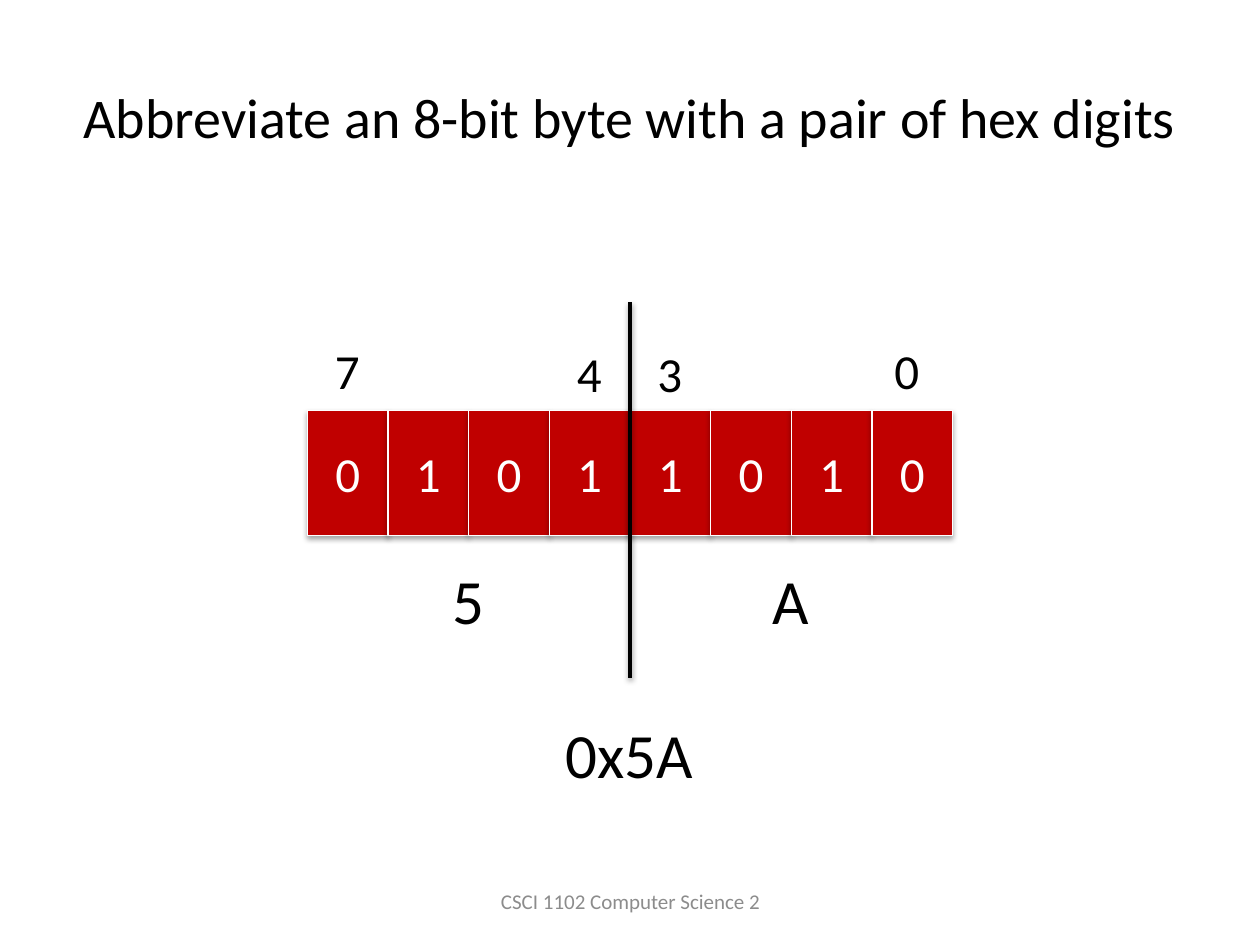
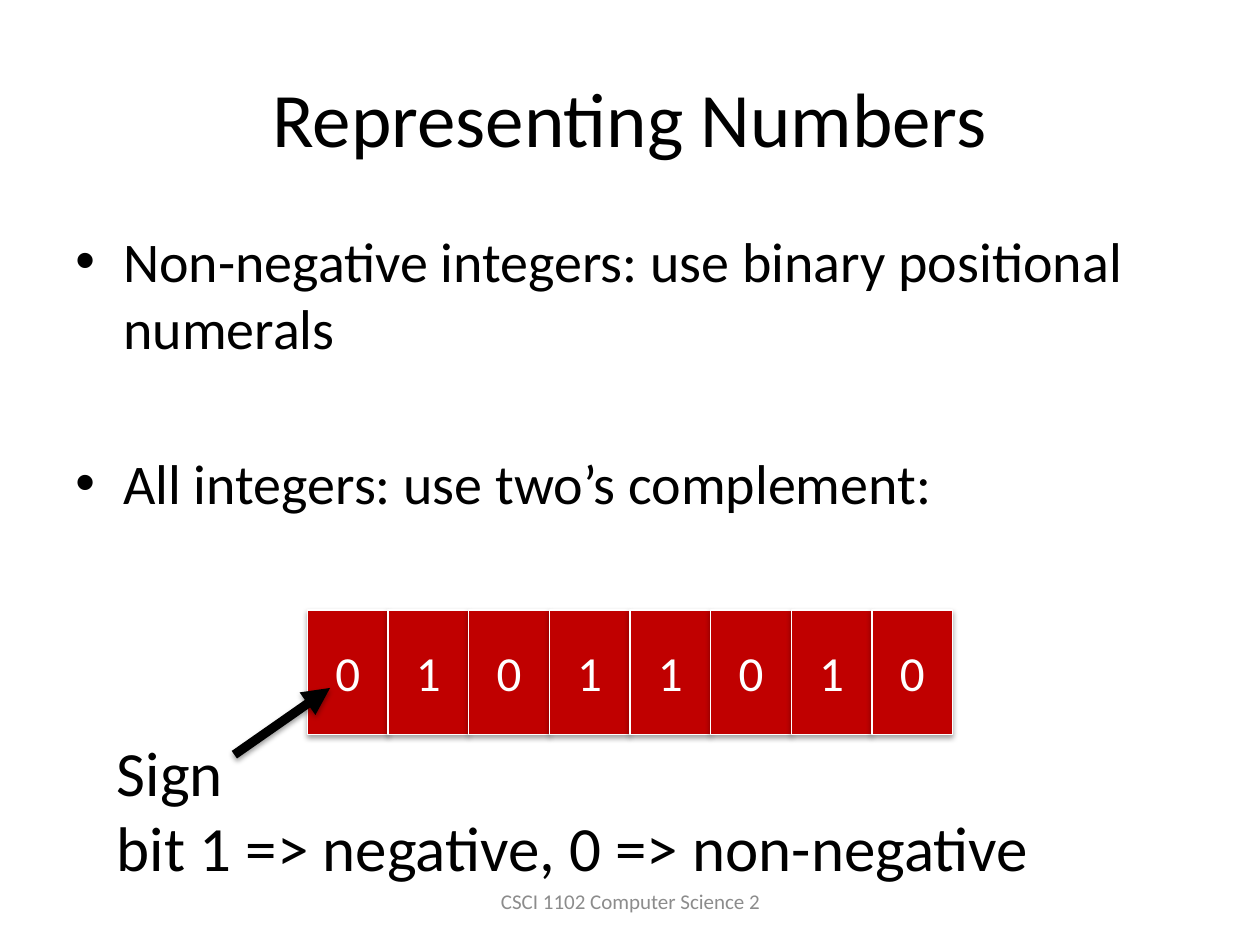
from dataclasses import dataclass

from lxml.etree import SubElement as Sub
from pptx import Presentation
from pptx.dml.color import RGBColor as RGB
from pptx.enum.shapes import MSO_CONNECTOR as Link, MSO_SHAPE as Form
from pptx.enum.text import MSO_ANCHOR as Anchor, MSO_AUTO_SIZE as Fit, PP_ALIGN as Align
from pptx.oxml.ns import qn
from pptx.util import Inches, Pt


@dataclass(frozen=True)
class Theme:
    font: str = "Calibri"
    ink: str = "000000"
    pale: str = "FFFFFF"
    gray: str = "8C8C8C"
    red: str = "C00000"
    title: int = 44
    body: int = 32
    bit: int = 28
    hex: int = 36
    foot: int = 12


THEME = Theme()
BITS = "01011010"
LEFT, WIDE, HIGH = 2.44, 0.64, 0.99
FOOTER = "CSCI 1102 Computer Science 2"


def apply(item, **form):
    for name, value in form.items():
        setattr(item, name, value)


def box(left, top, width, height):
    return [Inches(n) for n in (left, top, width, height)]


def write(frame, lines, size, color=THEME.ink, align=Align.LEFT, **form):
    """Fill a text frame with one paragraph for each line."""
    apply(frame, **form)
    for i, line in enumerate(lines):
        para = frame.add_paragraph() if i else frame.paragraphs[0]
        para.alignment = align
        run = para.add_run()
        run.text = line
        apply(run.font, name=THEME.font, size=Pt(size))
        run.font.color.rgb = RGB.from_string(color)
    return frame.paragraphs


def shade(shape, alpha, drop):
    """Add a soft shadow that falls straight down."""
    effects = Sub(shape._element.spPr, qn("a:effectLst"))
    shadow = Sub(effects, qn("a:outerShdw"), blurRad=str(Pt(3.1)),
                 dist=str(Pt(drop)), dir="5400000", rotWithShape="0")
    color = Sub(shadow, qn("a:srgbClr"), val=THEME.ink)
    Sub(color, qn("a:alpha"), val=str(alpha * 1000))


def add_text(slide, place, lines, size, **form):
    area = slide.shapes.add_textbox(*box(*place))
    return write(area.text_frame, lines, size, **form)


def add_label(slide, place, *lines, size=THEME.hex):
    add_text(slide, place, lines, size, word_wrap=False,
             auto_size=Fit.SHAPE_TO_FIT_TEXT)


def add_page(deck, title, size=THEME.title):
    """Add a blank slide with the shared title and footer."""
    slide = deck.slides.add_slide(deck.slide_layouts[6])
    mid = dict(align=Align.CENTER, word_wrap=True, vertical_anchor=Anchor.MIDDLE)
    add_text(slide, (0.5, 0.3, 9, 1.25), [title], size, **mid)
    add_text(slide, (3.42, 6.95, 3.17, 0.4), [FOOTER], THEME.foot,
             color=THEME.gray, **mid)
    return slide


def add_byte(slide, top):
    """Draw the bits as a grouped row of touching cells."""
    group = slide.shapes.add_group_shape()
    for i, bit in enumerate(BITS):
        cell = group.shapes.add_shape(
            Form.RECTANGLE, *box(LEFT + i * WIDE, top, WIDE, HIGH))
        cell.fill.solid()
        cell.fill.fore_color.rgb = RGB.from_string(THEME.red)
        cell.line.color.rgb = RGB.from_string(THEME.pale)
        cell.line.width = Pt(0.75)
        shade(cell, 35, 1.8)
        write(cell.text_frame, [bit], THEME.bit, THEME.pale, Align.CENTER,
              vertical_anchor=Anchor.MIDDLE)


def add_line(slide, start, end, width, arrow=False):
    ends = [Inches(n) for n in start + end]
    line = slide.shapes.add_connector(Link.STRAIGHT, *ends)
    line.line.color.rgb = RGB.from_string(THEME.ink)
    line.line.width = Pt(width)
    if arrow:
        Sub(line.line._get_or_add_ln(), qn("a:tailEnd"), type="triangle")
    shade(line, 38, 1.6)


def add_list(slide, place, lines, gap):
    paras = add_text(slide, place, lines, THEME.body, word_wrap=True)
    indent = Inches(0.38)
    for i, para in enumerate(paras):
        para.space_before = Pt(gap if i else 0)
        props = para._p.get_or_add_pPr()
        props.set("marL", str(indent))
        props.set("indent", str(-indent))
        Sub(props, qn("a:buFont"), typeface="Arial")
        Sub(props, qn("a:buChar"), char="•")


def draw_hex(deck):
    slide = add_page(deck, "Abbreviate an 8-bit byte with a pair of hex digits",
                     THEME.body)
    add_byte(slide, 3.26)
    for text, left, top in (("7", 2.56, 2.65), ("0", 7, 2.65),
                            ("3", 5.12, 2.68), ("4", 4.48, 2.68)):
        add_label(slide, (left, top, 0.4, 0.57), text, size=THEME.bit)
    add_line(slide, (5, 2.4), (5, 5.38), 2)
    for text, left, top, width in (("0x5A", 4.39, 5.63, 1.23),
                                   ("5", 3.49, 4.41, 0.46),
                                   ("A", 6.03, 4.41, 0.49)):
        add_label(slide, (left, top, width, 0.71), text)


def draw_sign(deck):
    slide = add_page(deck, "Representing Numbers")
    add_list(slide, (0.5, 1.75, 9, 4.95),
             ["Non-negative integers: use binary positional numerals",
              "All integers: use two’s complement:"], gap=50)
    add_byte(slide, 4.84)
    add_label(slide, (0.83, 5.77, 7.5, 1.31),
              "Sign", "bit 1 => negative, 0 => non-negative")
    add_line(slide, (1.86, 5.99), (2.62, 5.46), 5.25, arrow=True)


def main():
    deck = Presentation()
    apply(deck, slide_width=Inches(10), slide_height=Inches(7.5))
    draw_hex(deck)
    draw_sign(deck)
    deck.save("out.pptx")


if __name__ == "__main__":
    main()
